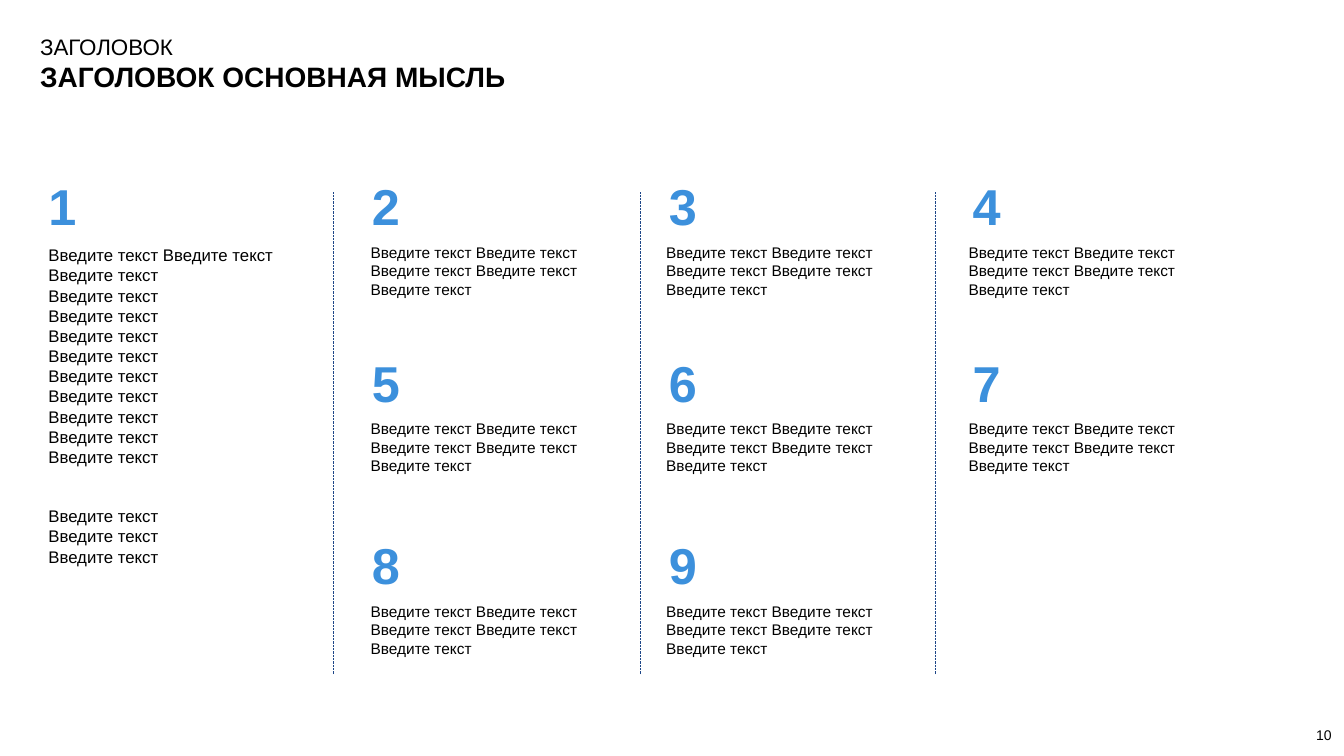
from dataclasses import dataclass

from lxml import etree
from pptx import Presentation
from pptx.dml.color import RGBColor
from pptx.enum.dml import MSO_LINE
from pptx.enum.shapes import MSO_CONNECTOR
from pptx.enum.text import MSO_ANCHOR, MSO_AUTO_SIZE, PP_ALIGN
from pptx.oxml.ns import qn
from pptx.util import Cm, Pt

STRAIGHT = MSO_CONNECTOR.STRAIGHT
DOTTED = MSO_LINE.ROUND_DOT
TOP, MIDDLE = MSO_ANCHOR.TOP, MSO_ANCHOR.MIDDLE
LEFT = PP_ALIGN.LEFT
NO_AUTOFIT = MSO_AUTO_SIZE.NONE


@dataclass(frozen=True)
class Theme:
    font: str = "Arial"
    ink: RGBColor = RGBColor(0x00, 0x00, 0x00)
    accent: RGBColor = RGBColor(0x3C, 0x90, 0xDC)
    rule: RGBColor = RGBColor(0x1C, 0x45, 0x87)
    rule_width: float = 0.5
    kicker: int = 16
    headline: int = 20
    number: int = 36
    lead: int = 12
    body: int = 11
    page: int = 10


THEME = Theme()

KICKER = "ЗАГОЛОВОК"
HEADLINE = "ЗАГОЛОВОК ОСНОВНАЯ МЫСЛЬ"
PHRASE = "Введите текст"
DOUBLE = f"{PHRASE} {PHRASE}"
LEAD_NUMBER = "1"
LEAD_LINES = [DOUBLE] + [PHRASE] * 13
LEAD_BREAK = 10
LEAD_GAP = 28
ITEM_LINES = [DOUBLE, DOUBLE, PHRASE]
ITEM_ROWS = [
    [("2", 6.63), ("3", 6.35), ("4", 8.51)],
    [("5", 6.63), ("6", 7.04), ("7", 7.34)],
    [("8", 6.63), ("9", 8.89)],
]
PAGE_NUMBER = "10"

LEAD_LEFT = 0.97
COLUMNS = [(9.12, 9.09), (16.61, 16.54), (24.26, 24.16)]
ROW_TOPS = [4.29, 8.74, 13.34]
NUMBER_SIZE = (1.98, 1.63)
ITEM_DROP = 1.7
ITEM_HEIGHT = 1.96
DIVIDERS = [8.41, 16.13, 23.57]
DIVIDER_TOP, DIVIDER_BOTTOM = 4.85, 16.99


def add_line(paragraph, wording, size, color=THEME.ink, bold=False):
    paragraph.alignment = LEFT
    run = paragraph.add_run()
    run.text = wording
    run.font.name = THEME.font
    run.font.size = Pt(size)
    run.font.bold = bold
    run.font.color.rgb = color


def write(frame, lines):
    frame.word_wrap = True
    for index, line in enumerate(lines):
        paragraph = frame.add_paragraph() if index else frame.paragraphs[0]
        add_line(paragraph, *line)


def add_text(slide, left, top, width, height, lines):
    frame = slide.shapes.add_textbox(
        Cm(left), Cm(top), Cm(width), Cm(height)).text_frame
    write(frame, lines)
    return frame


def add_number(slide, left, top, number):
    add_text(slide, left, top, *NUMBER_SIZE,
             [(number, THEME.number, THEME.accent, True)])


def add_heading(slide):
    heading = slide.shapes.title
    heading.left, heading.top = Cm(0.76), Cm(0.58)
    heading.width, heading.height = Cm(15.95), Cm(2.06)
    frame = heading.text_frame
    frame.auto_size = NO_AUTOFIT
    frame.vertical_anchor = TOP
    frame.margin_left = frame.margin_right = Cm(0.25)
    frame.margin_top = frame.margin_bottom = Cm(0.25)
    write(frame, [(KICKER, THEME.kicker),
                  (HEADLINE, THEME.headline, THEME.ink, True)])


def add_lead(slide):
    add_number(slide, LEAD_LEFT, ROW_TOPS[0], LEAD_NUMBER)
    frame = add_text(slide, LEAD_LEFT, 6.05, 7.14, 9.19,
                     [(line, THEME.lead) for line in LEAD_LINES])
    frame.paragraphs[LEAD_BREAK].space_after = Pt(LEAD_GAP)


def add_items(slide):
    for top, row in zip(ROW_TOPS, ITEM_ROWS):
        for (number_left, text_left), (number, width) in zip(COLUMNS, row):
            add_number(slide, number_left, top, number)
            add_text(slide, text_left, top + ITEM_DROP, width, ITEM_HEIGHT,
                     [(line, THEME.body) for line in ITEM_LINES])


def add_dividers(slide):
    for x in DIVIDERS:
        divider = slide.shapes.add_connector(
            STRAIGHT, Cm(x), Cm(DIVIDER_BOTTOM), Cm(x), Cm(DIVIDER_TOP))
        divider.line.color.rgb = THEME.rule
        divider.line.width = Pt(THEME.rule_width)
        divider.line.dash_style = DOTTED
        etree.SubElement(divider._element.spPr, qn("a:effectLst"))


def add_page_number(slide):
    frame = add_text(slide, 32.97, 18.01, 0.86, 1.04,
                     [(PAGE_NUMBER, THEME.page)])
    frame.vertical_anchor = MIDDLE
    frame.margin_left = frame.margin_right = Cm(0.2)
    frame.margin_top = frame.margin_bottom = Cm(0.1)


def main():
    deck = Presentation()
    deck.slide_width, deck.slide_height = Cm(33.87), Cm(19.05)
    slide = deck.slides.add_slide(deck.slide_layouts[5])
    add_heading(slide)
    add_lead(slide)
    add_items(slide)
    add_dividers(slide)
    add_page_number(slide)
    deck.save("out.pptx")


if __name__ == "__main__":
    main()
